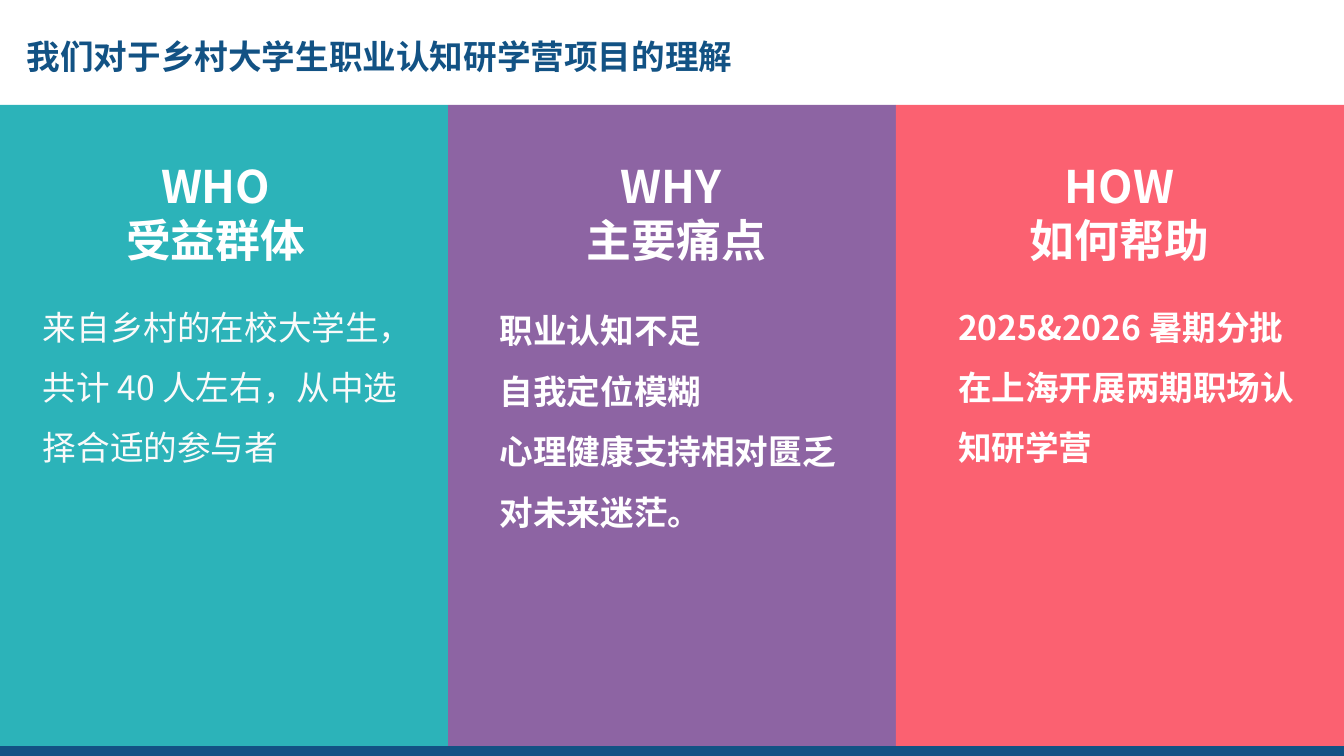
from lxml import etree
from pptx import Presentation
from pptx.dml.color import RGBColor
from pptx.enum import shapes, text
from pptx.oxml.ns import qn
from pptx.util import Inches, Pt

THEME = {
    "font": "Noto Sans CJK SC",
    "navy": "125284", "white": "FFFFFF", "soft_white": "FAFAFA",
    "teal": "2CB3B9", "purple": "8D64A3", "coral": "FB6171",
    "body_size": 18, "heading_size": 24,
}

TITLE = "我们对于乡村大学生职业认知研学营项目的理解"
# Boxes are left, top, width, height in inches
COLUMNS = [
    {"fill": "teal", "heading": ["WHO", "受益群体"],
     "heading_box": (0.2, 1.08, 2.81, 1.01),
     "body": ["来自乡村的在校大学生，共计 40 人左右，从中选择合适的参与者"],
     "body_box": (0.22, 2.03, 3.01, 1.55),
     "body_format": {"color": "soft_white", "bold": False}},
    {"fill": "purple", "heading": ["WHY", " 主要痛点"],
     "heading_box": (4.09, 1.08, 1.81, 1),
     "body": ["职业认知不足", "自我定位模糊", "心理健康支持相对匮乏", "对未来迷茫。"],
     "body_box": (3.62, 2.06, 2.76, 2.47), "body_format": {}},
    {"fill": "coral", "heading": ["HOW", "如何帮助"],
     "heading_box": (7.25, 1.08, 2.16, 1.01),
     "body": ["2025&2026 暑期分批在上海开展两期职场认知研学营"],
     "body_box": (7.03, 2.03, 2.75, 2.02), "body_format": {}},
]
SLIDE_WIDTH = 10
SLIDE_HEIGHT = SLIDE_WIDTH * 9 / 16
COLUMN_TOP, FOOTER_TOP = 0.78, 5.55


def add_panel(slide, box, color):
    panel = slide.shapes.add_shape(shapes.MSO_SHAPE.RECTANGLE, *map(Inches, box))
    panel.shadow.inherit = False
    panel.fill.solid()
    panel.fill.fore_color.rgb = RGBColor.from_string(THEME[color])
    panel.line.fill.background()


def add_text(slide, box, lines, size="body_size", color="white", bold=True,
             align=text.PP_ALIGN.LEFT, spacing=1.0):
    frame = slide.shapes.add_textbox(*map(Inches, box)).text_frame
    frame.word_wrap = True
    frame.vertical_anchor = text.MSO_ANCHOR.TOP
    frame.margin_left = frame.margin_right = Inches(0.1)
    frame.margin_top = frame.margin_bottom = Inches(0.1)
    for index, line in enumerate(lines):
        paragraph = frame.add_paragraph() if index else frame.paragraphs[0]
        paragraph.alignment = align
        paragraph.line_spacing = spacing
        run = paragraph.add_run()
        run.text = line
        run.font.size = Pt(THEME[size])
        run.font.bold = bold
        run.font.color.rgb = RGBColor.from_string(THEME[color])
        run.font.name = THEME["font"]
        east_asian = etree.SubElement(run.font._element, qn("a:ea"))
        east_asian.set("typeface", THEME["font"])


def main():
    deck = Presentation()
    deck.slide_width, deck.slide_height = Inches(SLIDE_WIDTH), Inches(SLIDE_HEIGHT)
    slide = deck.slides.add_slide(deck.slide_layouts[6])

    add_panel(slide, (0, FOOTER_TOP, SLIDE_WIDTH, SLIDE_HEIGHT - FOOTER_TOP), "navy")
    width = SLIDE_WIDTH / len(COLUMNS)
    for index, column in enumerate(COLUMNS):
        add_panel(slide, (index * width, COLUMN_TOP, width, FOOTER_TOP - COLUMN_TOP),
                  column["fill"])
        add_text(slide, column["heading_box"], column["heading"],
                 size="heading_size", align=text.PP_ALIGN.CENTER)
        add_text(slide, column["body_box"], column["body"], spacing=1.5,
                 **column["body_format"])
    add_text(slide, (0.1, 0.17, 9.44, 0.34), [TITLE], color="navy")

    deck.save("out.pptx")


if __name__ == "__main__":
    main()
